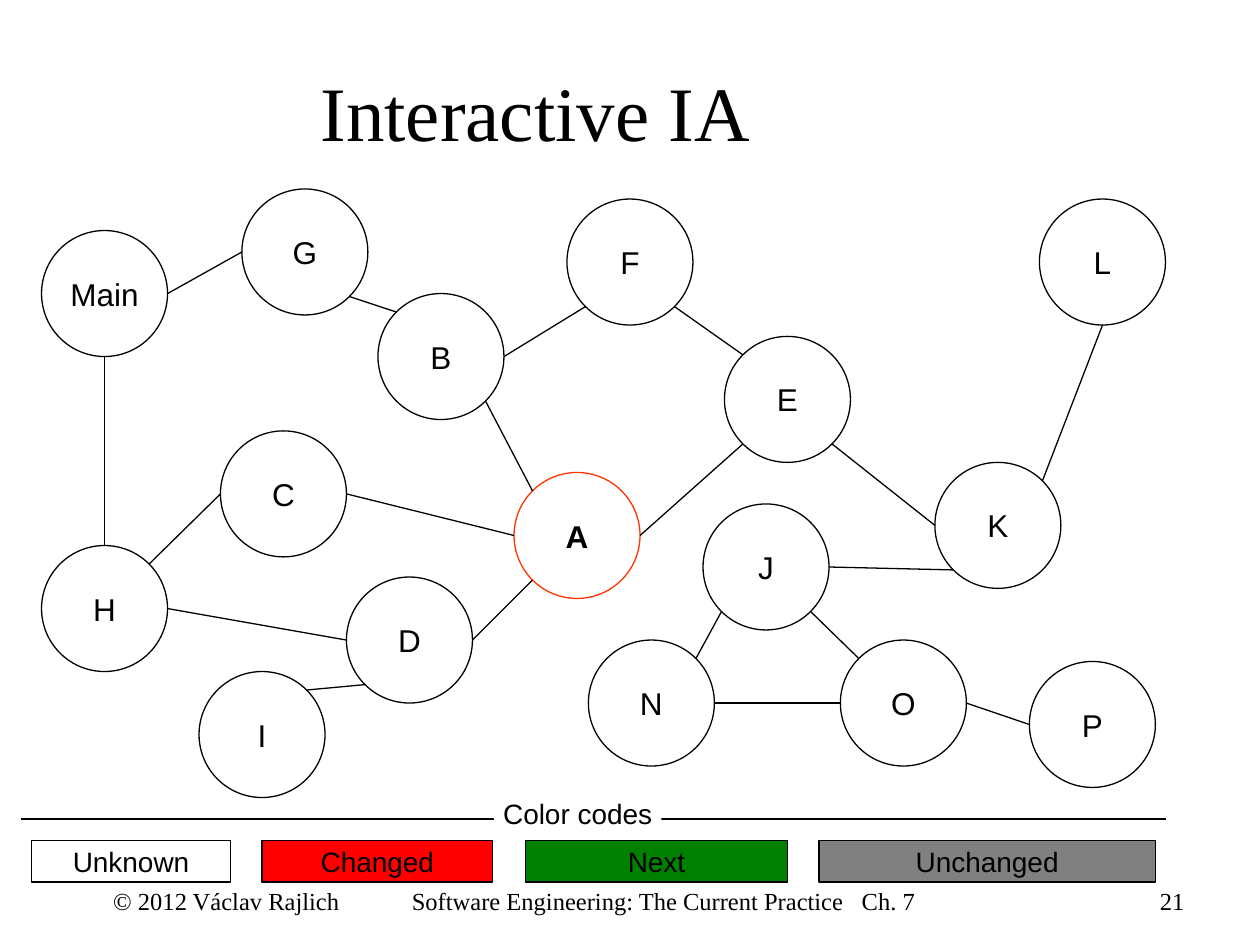
import math

from lxml import etree
from pptx import Presentation
from pptx import util as u
from pptx.dml.color import RGBColor
from pptx.enum import shapes, text
from pptx.oxml.ns import qn

BLACK, WHITE, ORANGE = "000000", "FFFFFF", "FF3300"
SANS, SERIF = "Arial", "Times New Roman"
DIAMETER = 1
ALIGN = text.PP_ALIGN

NODES = {
    "G": (1.92, 1.5), "D": (2.75, 4.58), "Main": (0.33, 1.83),
    "B": (3, 2.33), "C": (1.75, 3.42), "E": (5.75, 2.67),
    "A": (4.08, 3.75), "K": (7.42, 3.67), "L": (8.25, 1.58),
    "H": (0.33, 4.33), "I": (1.58, 5.33), "F": (4.5, 1.58),
    "J": (5.58, 4), "O": (6.67, 5.08), "P": (8.17, 5.25),
    "N": (4.67, 5.08),
}

# Clockwise angles of the points where edges meet a node
ANGLES = {d: 45 * i for i, d in enumerate(
    ("E", "SE", "S", "SW", "W", "NW", "N", "NE"))}

EDGES = [
    ("A", "NW", "B", "SE"), ("A", "W", "C", "E"), ("E", "NW", "F", "SE"),
    ("A", "SW", "D", "E"), ("B", "NW", "G", "SE"), ("G", "W", "Main", "E"),
    ("D", "W", "H", "E"), ("D", "SW", "I", "NE"), ("E", "SW", "A", "E"),
    ("K", "W", "E", "SE"), ("L", "S", "K", "NE"), ("K", "SW", "J", "E"),
    ("B", "E", "F", "SW"), ("H", "N", "Main", "S"), ("C", "W", "H", "NE"),
    ("J", "SW", "N", "NE"), ("O", "NW", "J", "SE"), ("O", "W", "N", "E"),
    ("P", "W", "O", "E"),
]

# Label, left, width, fill
LEGEND = [
    ("Unknown", 0.25, 1.58, None), ("Changed", 2.08, 1.83, "FF0000"),
    ("Next", 4.17, 2.08, "008000"), ("Unchanged", 6.5, 2.67, "808080"),
]


def rgb(value):
    return RGBColor.from_string(value)


def edge_point(node, direction):
    """Return the point on the node's circle in a compass direction."""
    angle = math.radians(ANGLES[direction])
    radius = DIAMETER / 2
    left, top = NODES[node]
    return (left + radius * (1 + math.cos(angle)),
            top + radius * (1 + math.sin(angle)))


class SlideBuilder:
    def __init__(self, s, line_width=0.75):
        self.s = s
        self.line_width = u.Pt(line_width)

    def set_text(self, sp, content, size, font=SANS, bold=False,
                 align=ALIGN.CENTER, anchor=text.MSO_ANCHOR.MIDDLE,
                 wrap=False, tabs=()):
        tf = sp.text_frame
        frame = {"word_wrap": wrap, "vertical_anchor": anchor,
                 "auto_size": text.MSO_AUTO_SIZE.NONE}
        for name, value in frame.items():
            setattr(tf, name, value)
        p = tf.paragraphs[0]
        p.alignment = align
        if tabs:
            stops = etree.SubElement(p._p.get_or_add_pPr(), qn("a:tabLst"))
            for stop in tabs:
                etree.SubElement(stops, qn("a:tab"),
                                 pos=str(u.Inches(stop)), algn="l")
        r = p.add_run()
        r.text = content
        for name, value in {"name": font, "size": u.Pt(size), "bold": bold}.items():
            setattr(r.font, name, value)
        r.font.color.rgb = rgb(BLACK)

    def title(self, content, box):
        sp = self.s.shapes.title
        for name, value in zip(("left", "top", "width", "height"), box):
            setattr(sp, name, u.Inches(value))
        self.set_text(sp, content, 44, SERIF, wrap=True)

    def shape(self, kind, box, content, size, fill=None, line=BLACK, bold=False):
        sp = self.s.shapes.add_shape(kind, *map(u.Inches, box))
        sp.shadow.inherit = False
        if fill:
            sp.fill.solid()
            sp.fill.fore_color.rgb = rgb(fill)
        else:
            sp.fill.background()
        if line:
            sp.line.color.rgb = rgb(line)
            sp.line.width = self.line_width
        else:
            sp.line.fill.background()
        self.set_text(sp, content, size, bold=bold)

    def line(self, start, end):
        cx = self.s.shapes.add_connector(
            shapes.MSO_CONNECTOR.STRAIGHT, *map(u.Inches, (*start, *end)))
        cx.line.color.rgb = rgb(BLACK)
        cx.line.width = self.line_width
        etree.SubElement(cx._element.spPr, qn("a:effectLst"))

    def footer(self, content, left, width, align, tabs=()):
        sp = self.s.shapes.add_textbox(*map(u.Inches, (left, 6.98, width, 0.52)))
        self.set_text(sp, content, 14, SERIF, align=align,
                      anchor=text.MSO_ANCHOR.TOP, wrap=True, tabs=tabs)


def main():
    prs = Presentation()
    prs.slide_width, prs.slide_height = u.Inches(10), u.Inches(7.5)
    slide = SlideBuilder(prs.slides.add_slide(prs.slide_layouts[5]))
    slide.title("Interactive IA", (0, 0.25, 8.5, 1.25))

    oval, rect = shapes.MSO_SHAPE.OVAL, shapes.MSO_SHAPE.RECTANGLE
    for name, position in NODES.items():
        start = name == "A"
        slide.shape(oval, (*position, DIAMETER, DIAMETER), name, 18,
                    line=ORANGE if start else BLACK, bold=start)
    for a, a_side, b, b_side in EDGES:
        slide.line(edge_point(a, a_side), edge_point(b, b_side))

    for label, left, width, fill in LEGEND:
        slide.shape(rect, (left, 6.67, width, 0.33), label, 16, fill)
    slide.line((0.17, 6.5), (9.25, 6.5))
    slide.shape(rect, (3.92, 6.33, 1.33, 0.25), "Color codes", 16, WHITE, None)

    slide.footer("21", 7.17, 2.33, ALIGN.RIGHT)
    slide.footer("© 2012 Václav Rajlich\tSoftware Engineering: "
                 "The Current Practice\tCh. 7",
                 0.8, 7.12, ALIGN.LEFT, tabs=(2.37, 5.94))
    prs.save("out.pptx")


if __name__ == "__main__":
    main()
